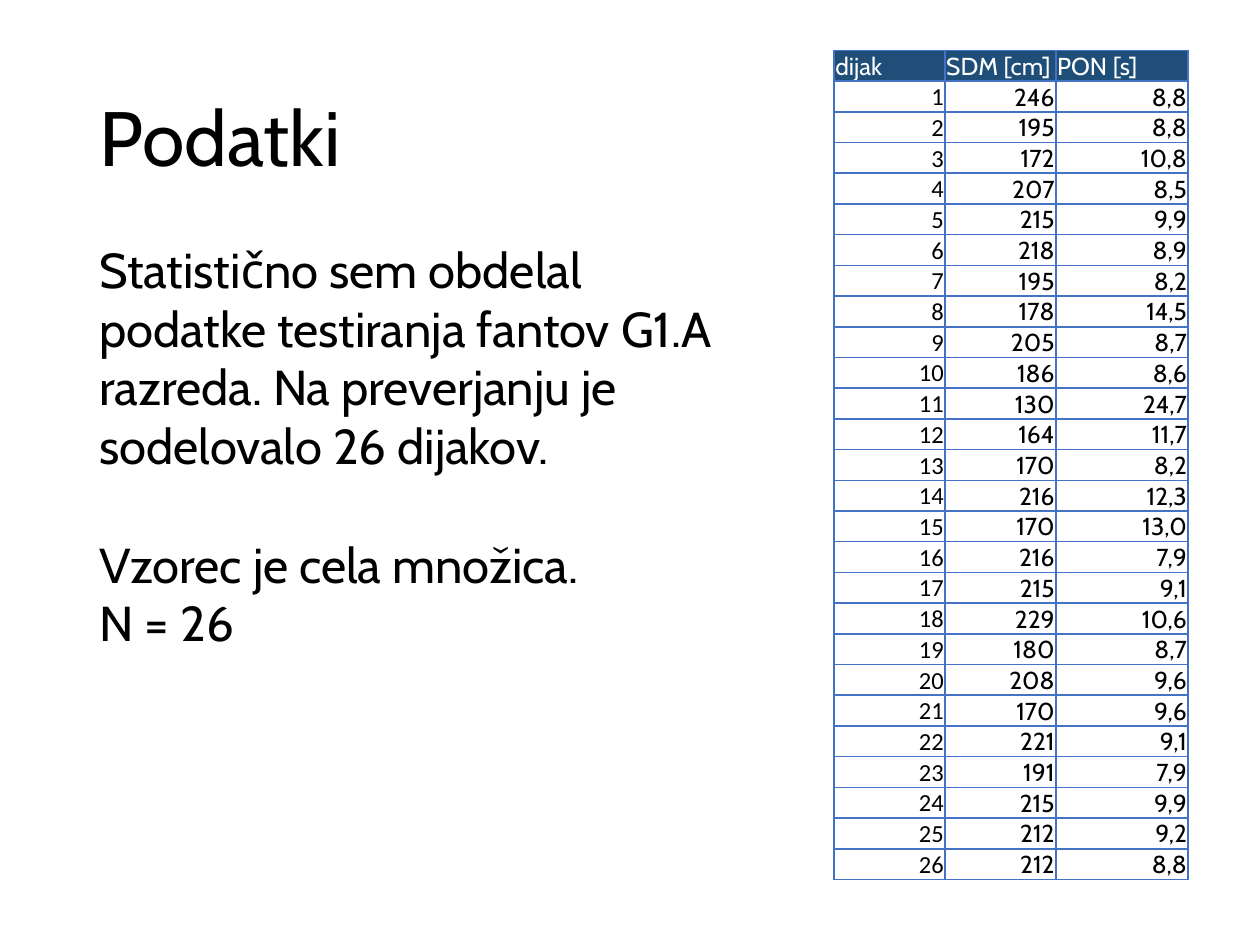
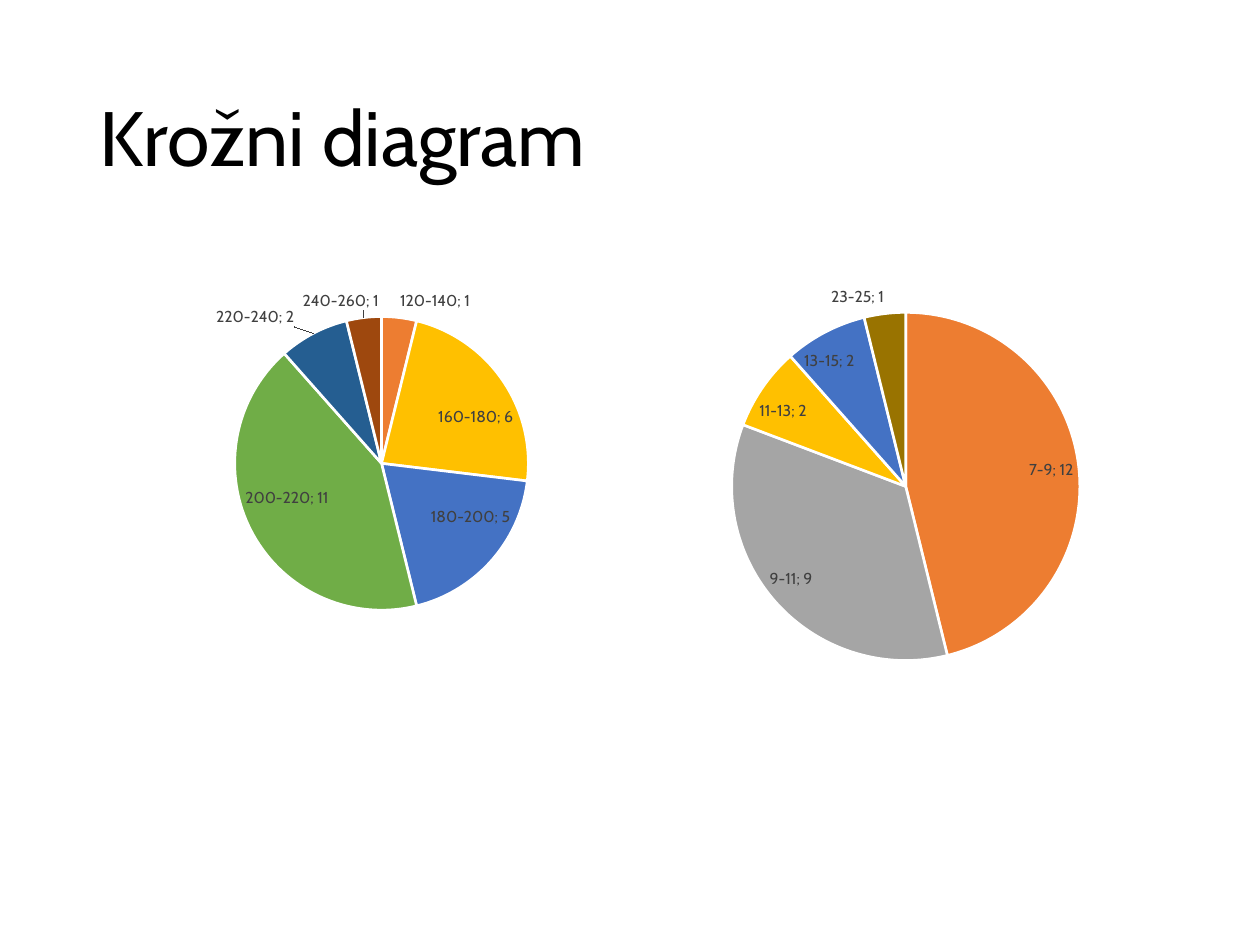
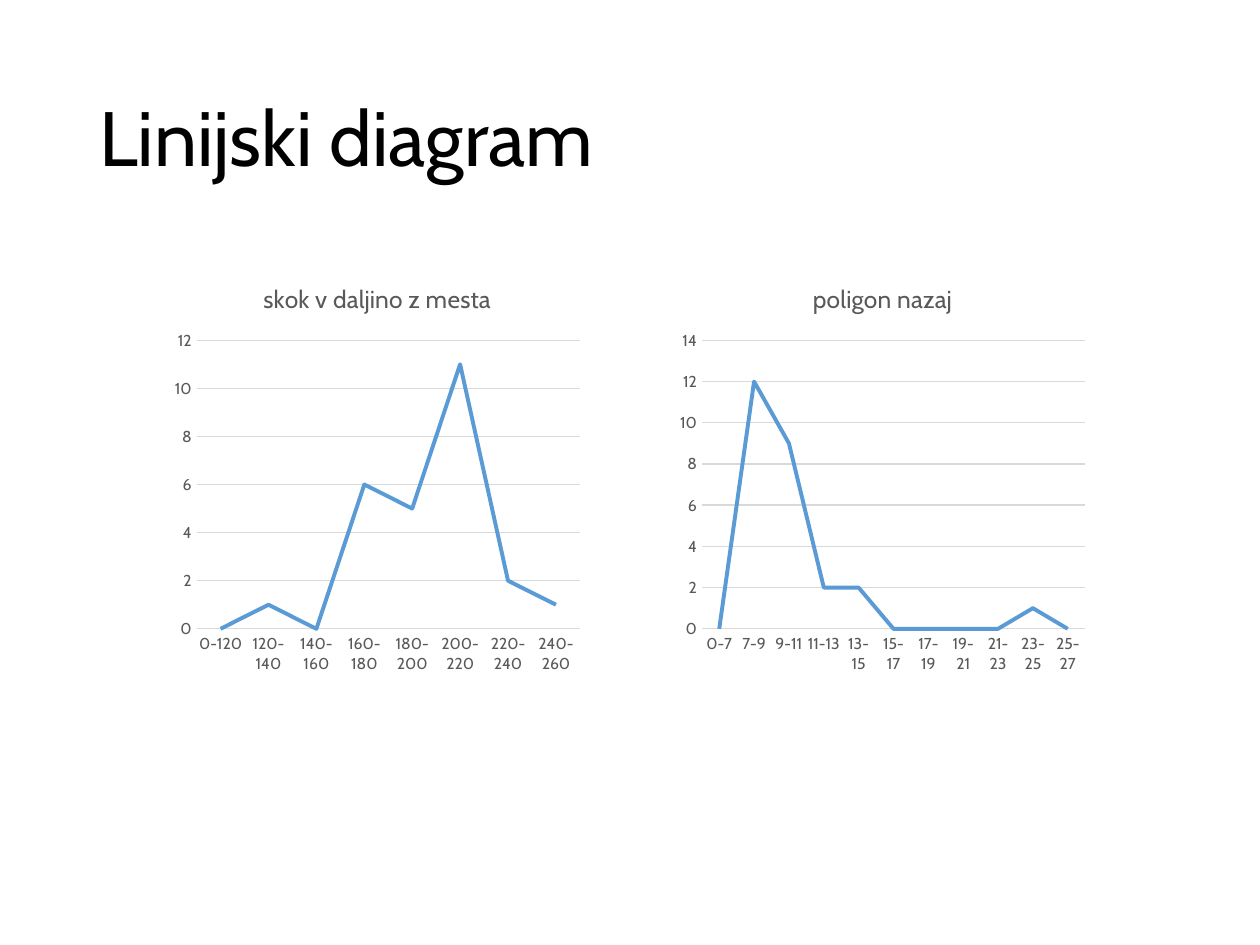
from lxml import etree
from pptx import Presentation
from pptx.chart.data import CategoryChartData
from pptx.dml.color import RGBColor
from pptx.enum.chart import XL_CHART_TYPE as ChartType
from pptx.enum.chart import XL_LABEL_POSITION as LabelPosition
from pptx.enum.chart import XL_TICK_MARK as TickMark
from pptx.enum.text import MSO_ANCHOR as Anchor
from pptx.enum.text import PP_ALIGN as Align
from pptx.oxml import parse_xml
from pptx.oxml.ns import nsdecls, qn
from pptx.util import Inches, Pt

BLACK = RGBColor(0x00, 0x00, 0x00)
WHITE = RGBColor(0xFF, 0xFF, 0xFF)
NAVY = RGBColor(0x1F, 0x4E, 0x79)
BORDER_BLUE = RGBColor(0x44, 0x72, 0xC4)
LINE_BLUE = RGBColor(0x5B, 0x9B, 0xD5)
LABEL_GRAY = RGBColor(0x40, 0x40, 0x40)
AXIS_GRAY = RGBColor(0x59, 0x59, 0x59)
GRID_GRAY = RGBColor(0xD9, 0xD9, 0xD9)
SLICE_COLORS = [RGBColor.from_string(code) for code in (
    "5B9BD5", "ED7D31", "A5A5A5", "FFC000", "4472C4", "70AD47",
    "255E91", "9E480E", "636363", "997300", "264478")]

FONT = "Cabin"
NUMBER_FONT = "Calibri"
MARGIN = 0.69
TITLE_BOX = (MARGIN, 0.4, 8.62, 1.45)
BODY_BOX = (MARGIN, 1.85, 5.17, 3.4)
CHART_LEFTS = (1.32, 5.33)
CHART_TOP, CHART_WIDTH, CHART_HEIGHT = 2.08, 3.35, 3.33
TABLE_LEFT, TABLE_TOP, ROW_HEIGHT = 6.62, 0.4, 0.24
COLUMN_WIDTHS = (0.88, 0.88, 1.05)

# Text and space before, in points
BODY = [
    ("Statistično sem obdelal podatke testiranja fantov G1.A razreda. "
     "Na preverjanju je sodelovalo 26 dijakov.", 0),
    ("Vzorec je cela množica.", 34),
    ("N = 26", 0),
]
TABLE_HEADER = ("dijak", "SDM [cm]", "PON [s]")
JUMPS = [246, 195, 172, 207, 215, 218, 195, 178, 205, 186, 130, 164, 170,
         216, 170, 216, 215, 229, 180, 208, 170, 221, 191, 215, 212, 212]
TIMES = ["8,8", "8,8", "10,8", "8,5", "9,9", "8,9", "8,2", "14,5", "8,7",
         "8,6", "24,7", "11,7", "8,2", "12,3", "13,0", "7,9", "9,1", "10,6",
         "8,7", "9,6", "9,6", "9,1", "7,9", "9,9", "9,2", "8,8"]

# pie_area is left, top, width, height as parts of the chart
DISTRIBUTIONS = [
    {"title": "skok v daljino z mesta",
     "classes": ["0-120"] + [f"{low}-{low + 20}" for low in range(120, 260, 20)],
     "counts": [0, 1, 0, 6, 5, 11, 2, 1],
     "pie_area": (0.16, 0.13, 0.7, 0.7)},
    {"title": "poligon nazaj",
     "classes": ["0-7"] + [f"{low}-{low + 2}" for low in range(7, 27, 2)],
     "counts": [0, 12, 9, 2, 2, 0, 0, 0, 0, 1, 0],
     "pie_area": (0.14, 0.12, 0.83, 0.83)},
]


def style_font(font, size, color, name=FONT):
    """Set size, colour and typeface of a font."""
    font.size = Pt(size)
    font.color.rgb = color
    font.name = name
    font.bold = False


def add_run(paragraph, text, size, color, name=FONT):
    """Add one styled run to a paragraph."""
    run = paragraph.add_run()
    run.text = text
    style_font(run.font, size, color, name)


def add_text_frame(slide, box):
    """Add a wrapping text box and return its text frame."""
    shape = slide.shapes.add_textbox(*map(Inches, box))
    shape.text_frame.word_wrap = True
    return shape.text_frame


def add_titled_slide(presentation, title):
    """Add a blank slide with the shared title style."""
    slide = presentation.slides.add_slide(presentation.slide_layouts[6])
    frame = add_text_frame(slide, TITLE_BOX)
    frame.vertical_anchor = Anchor.MIDDLE
    paragraph = frame.paragraphs[0]
    paragraph.line_spacing = 0.9
    add_run(paragraph, title, 44, BLACK)
    return slide


def add_body(slide):
    """Add the description of the sample."""
    frame = add_text_frame(slide, BODY_BOX)
    for index, (text, space) in enumerate(BODY):
        paragraph = frame.add_paragraph() if index else frame.paragraphs[0]
        paragraph.space_before = Pt(space)
        add_run(paragraph, text, 28, BLACK)


def add_borders(cell):
    """Draw a thin line on all four sides of a cell."""
    properties = cell._tc.get_or_add_tcPr()
    for side in ("lnL", "lnR", "lnT", "lnB"):
        properties.append(parse_xml(
            f'<a:{side} {nsdecls("a")} w="{Pt(1)}"><a:solidFill>'
            f'<a:srgbClr val="{BORDER_BLUE}"/></a:solidFill></a:{side}>'))


def fill_cell(cell, text, is_header, font_name):
    """Write and style one table cell."""
    cell.margin_left = cell.margin_right = cell.margin_top = Inches(0.01)
    cell.margin_bottom = 0
    cell.vertical_anchor = Anchor.BOTTOM
    add_borders(cell)
    if is_header:
        cell.fill.solid()
        cell.fill.fore_color.rgb = NAVY
    else:
        cell.fill.background()
    paragraph = cell.text_frame.paragraphs[0]
    paragraph.alignment = Align.LEFT if is_header else Align.RIGHT
    add_run(paragraph, text, 14, WHITE if is_header else BLACK, font_name)


def add_results_table(slide):
    """Add the table of both test results for every student."""
    rows = [TABLE_HEADER] + [
        (str(number), str(jump), time)
        for number, (jump, time) in enumerate(zip(JUMPS, TIMES), 1)]
    table = slide.shapes.add_table(
        len(rows), len(COLUMN_WIDTHS), Inches(TABLE_LEFT), Inches(TABLE_TOP),
        Inches(sum(COLUMN_WIDTHS)), Inches(ROW_HEIGHT * len(rows))).table
    table.first_row = table.horz_banding = False
    for column, width in zip(table.columns, COLUMN_WIDTHS):
        column.width = Inches(width)
    for row_index, row in enumerate(rows):
        table.rows[row_index].height = Inches(ROW_HEIGHT)
        for column_index, text in enumerate(row):
            is_number = row_index > 0 and column_index == 0
            fill_cell(table.cell(row_index, column_index), text,
                      row_index == 0, NUMBER_FONT if is_number else FONT)


def add_distribution_chart(slide, chart_type, left, distribution):
    """Add a chart of class counts without a legend."""
    data = CategoryChartData()
    data.categories = distribution["classes"]
    data.add_series("Series 1", distribution["counts"])
    chart = slide.shapes.add_chart(
        chart_type, Inches(left), Inches(CHART_TOP), Inches(CHART_WIDTH),
        Inches(CHART_HEIGHT), data).chart
    style_font(chart.font, 10, BLACK)
    chart.has_legend = False
    chart.has_title = False
    return chart


def set_plot_area(chart, area):
    """Fix the inner plot area to parts of the chart size."""
    plot_area = chart._chartSpace.chart.plotArea
    for old_layout in plot_area.findall(qn("c:layout")):
        plot_area.remove(old_layout)
    values = "".join(f'<c:{key} val="{value}"/>'
                     for key, value in zip("xywh", area))
    plot_area.insert(0, parse_xml(
        f'<c:layout {nsdecls("c")}><c:manualLayout>'
        '<c:layoutTarget val="inner"/><c:xMode val="edge"/>'
        f'<c:yMode val="edge"/>{values}</c:manualLayout></c:layout>'))


def add_pie(slide, left, distribution):
    """Add a pie that labels every class that is not empty."""
    chart = add_distribution_chart(slide, ChartType.PIE, left, distribution)
    set_plot_area(chart, distribution["pie_area"])
    chart.plots[0].vary_by_categories = True
    series = chart.plots[0].series[0]
    for index in range(len(distribution["counts"])):
        slice_format = series.points[index].format
        slice_format.fill.solid()
        slice_format.fill.fore_color.rgb = SLICE_COLORS[index]
        slice_format.line.color.rgb = WHITE
        slice_format.line.width = Pt(1.5)

    labels = series.data_labels
    style_font(labels.font, 9, LABEL_GRAY)
    labels.show_value = labels.show_category_name = True
    labels.position = LabelPosition.BEST_FIT
    element = labels._element
    separator = etree.Element(qn("c:separator"))
    separator.text = "; "
    element.find(qn("c:showBubbleSize")).addnext(separator)
    empty = [index for index, count in enumerate(distribution["counts"])
             if count == 0]
    for place, index in enumerate(empty):
        element.insert(place, parse_xml(
            f'<c:dLbl {nsdecls("c")}><c:idx val="{index}"/>'
            '<c:delete val="1"/></c:dLbl>'))


def add_line_chart(slide, left, distribution):
    """Add a titled line chart with light horizontal gridlines."""
    chart = add_distribution_chart(slide, ChartType.LINE, left, distribution)
    chart.has_title = True
    add_run(chart.chart_title.text_frame.paragraphs[0],
            distribution["title"], 14, AXIS_GRAY)
    chart.chart_title.include_in_layout = False
    chart.plots[0].vary_by_categories = False
    series = chart.plots[0].series[0]
    series.smooth = False
    series.format.line.color.rgb = LINE_BLUE
    series.format.line.width = Pt(2.25)

    for axis in (chart.category_axis, chart.value_axis):
        axis.major_tick_mark = axis.minor_tick_mark = TickMark.NONE
        style_font(axis.tick_labels.font, 9, AXIS_GRAY)
    chart.value_axis.format.line.fill.background()
    chart.value_axis.has_major_gridlines = True
    for line in (chart.category_axis.format.line,
                 chart.value_axis.major_gridlines.format.line):
        line.color.rgb = GRID_GRAY
        line.width = Pt(0.75)


def main():
    """Build the three slides and save them."""
    presentation = Presentation()
    presentation.slide_width = Inches(10)
    presentation.slide_height = Inches(7.5)

    slide = add_titled_slide(presentation, "Podatki")
    add_results_table(slide)
    add_body(slide)

    for title, add_chart in (("Krožni diagram", add_pie),
                             ("Linijski diagram", add_line_chart)):
        slide = add_titled_slide(presentation, title)
        for left, distribution in zip(CHART_LEFTS, DISTRIBUTIONS):
            add_chart(slide, left, distribution)

    presentation.save("out.pptx")


main()
